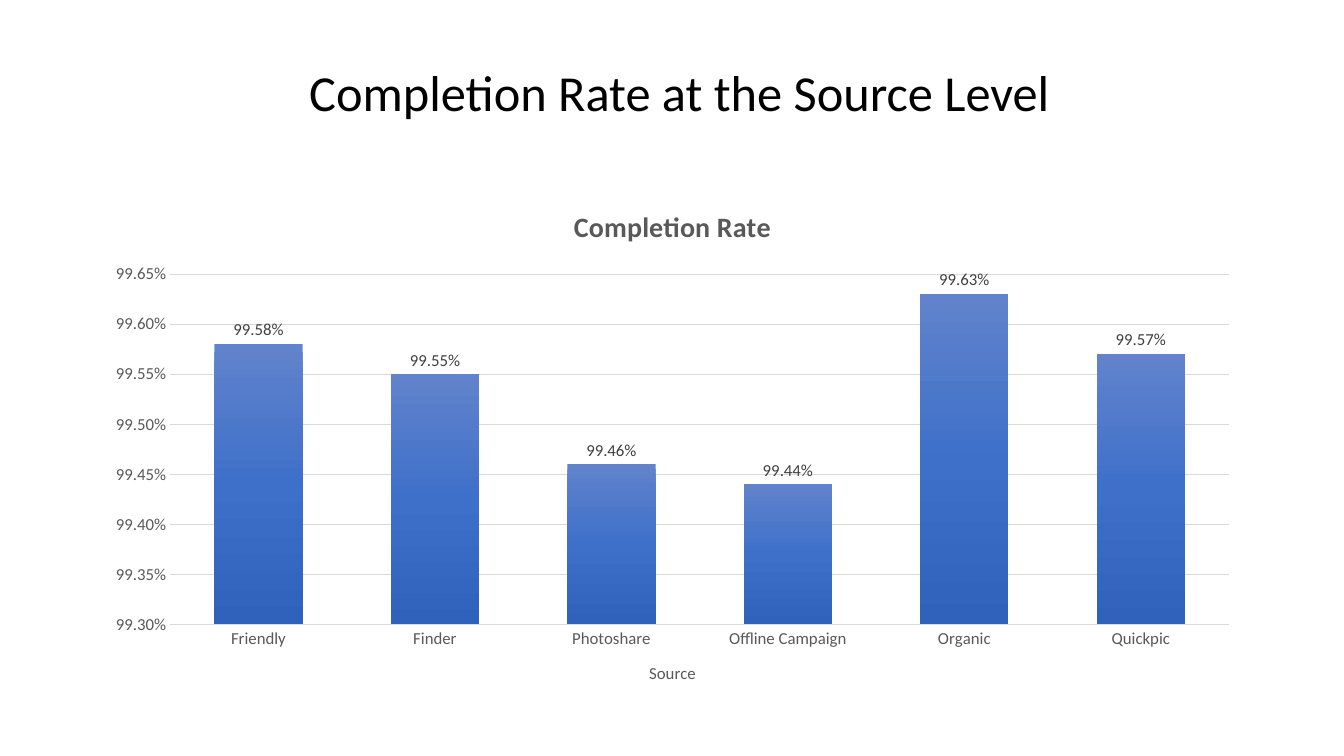
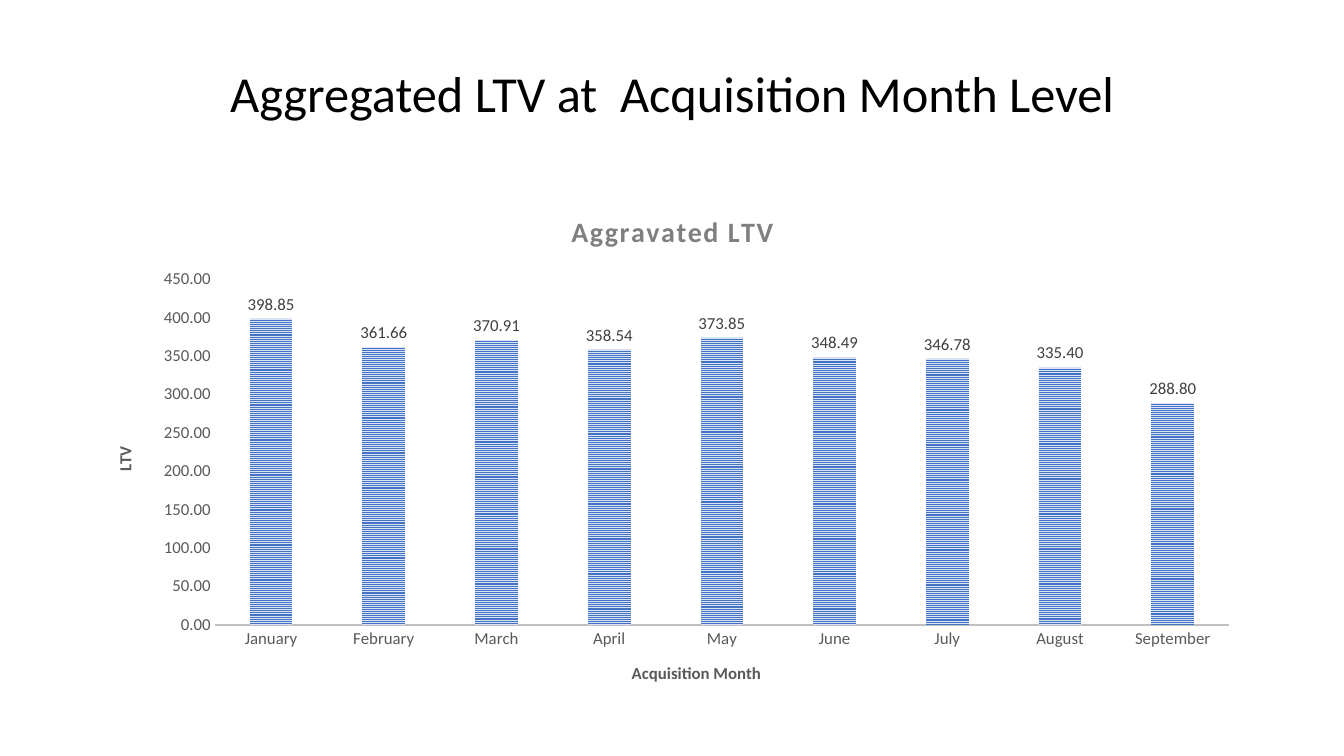
from copy import deepcopy

from pptx import Presentation
from pptx.chart.data import CategoryChartData
from pptx.dml.color import RGBColor
from pptx.enum.chart import XL_CHART_TYPE as ChartType
from pptx.enum.chart import XL_LABEL_POSITION as LabelPos
from pptx.enum.chart import XL_TICK_MARK as Tick
from pptx.enum.dml import MSO_PATTERN as Pattern
from pptx.enum.text import MSO_ANCHOR as Anchor
from pptx.enum.text import PP_ALIGN as Align
from pptx.oxml.ns import qn
from pptx.util import Inches, Pt

FONT = "Calibri"
BLACK, GREY, LABEL = "000000", "595959", "404040"
LEFT, WIDTH = 0.92, 11.5


def rgb(value):
    """Turn a hex string into a colour."""
    return RGBColor.from_string(value)


def set_font(font, size, color, bold=False):
    """Apply the shared typeface with a size, colour and weight."""
    font.name, font.size, font.bold = FONT, Pt(size), bold
    font.color.rgb = rgb(color)


def place_title(slide, text, box):
    """Put the slide title into its placeholder."""
    sp = slide.shapes.title
    sp.left, sp.top, sp.width, sp.height = map(Inches, box)
    tf = sp.text_frame
    tf.text = text
    tf.vertical_anchor = Anchor.MIDDLE
    p = tf.paragraphs[0]
    p.alignment, p.line_spacing = Align.CENTER, 0.9
    set_font(p.runs[0].font, 36, BLACK)


def set_heading(tf, text, size, color, bold, spacing=0):
    """Write a chart or axis heading and return its text frame."""
    tf.text = text
    r = tf.paragraphs[0].runs[0]
    set_font(r.font, size, color, bold)
    if spacing:
        r.font._element.set("spc", str(spacing))
    return tf


def style_axis(axis, title=None, bold=False):
    """Style the tick labels and the optional title of an axis."""
    axis.major_tick_mark = axis.minor_tick_mark = Tick.NONE
    set_font(axis.tick_labels.font, 12, GREY)
    axis.has_title = bool(title)
    if title:
        return set_heading(axis.axis_title.text_frame, title, 12, GREY, bold)


def fill_gradient(fill, series, stops):
    """Fill a series from top to bottom with three colour stops."""
    fill.gradient()
    fill.gradient_angle = 270
    stop_list = series._element.find(".//" + qn("a:gsLst"))
    stop_list.append(deepcopy(stop_list[-1]))
    for stop, (position, color) in zip(fill.gradient_stops, stops):
        stop.position = position
        stop.color.rgb = rgb(color)


def fill_stripes(fill, fore, back):
    """Fill a series with narrow horizontal stripes."""
    fill.patterned()
    fill.pattern = Pattern.NARROW_HORIZONTAL
    fill.fore_color.rgb = rgb(fore)
    fill.back_color.rgb = rgb(back)


def place_chart(slide, box, values, number_format, scale, gap, overlap, baseline):
    """Add a column chart with the shared axis and label styling."""
    data = CategoryChartData(number_format=number_format)
    data.categories = values.keys()
    data.add_series("Series 1", values.values())
    chart = slide.shapes.add_chart(
        ChartType.COLUMN_CLUSTERED, *map(Inches, box), data).chart
    set_font(chart.font, 10, BLACK)
    chart.has_legend = False

    axis = chart.value_axis
    axis.minimum_scale, axis.maximum_scale, axis.major_unit = scale
    axis.tick_labels.number_format = number_format
    axis.tick_labels.number_format_is_linked = False
    axis.format.line.fill.background()
    line = chart.category_axis.format.line
    line.color.rgb, line.width = rgb(baseline[0]), Pt(baseline[1])

    plot = chart.plots[0]
    plot.gap_width, plot.overlap, plot.vary_by_categories = gap, overlap, False
    plot.has_data_labels = True
    labels = plot.data_labels
    labels.show_value, labels.position = True, LabelPos.OUTSIDE_END
    labels.number_format, labels.number_format_is_linked = number_format, False
    set_font(labels.font, 12, LABEL)
    return chart


def source_slide(slide):
    """Build the completion rate slide."""
    place_title(slide, "Completion Rate at the Source Level", (0.99, 0.31, WIDTH, 1.27))
    rates = {"Friendly": 0.9958, "Finder": 0.9955, "Photoshare": 0.9946,
             "Offline Campaign": 0.9944, "Organic": 0.9963, "Quickpic": 0.9957}
    chart = place_chart(slide, (LEFT, 1.85, WIDTH, 5.15), rates, "0.00%",
                        (0.993, 0.9965, 0.0005), 100, -24, ("D9D9D9", 1))
    set_heading(chart.chart_title.text_frame, "Completion Rate", 20, GREY, True)
    style_axis(chart.category_axis, "Source")
    style_axis(chart.value_axis)
    grid = chart.value_axis.major_gridlines.format.line
    grid.color.rgb, grid.width = rgb("D9D9D9"), Pt(0.75)
    series = chart.plots[0].series[0]
    fill_gradient(series.format.fill, series,
                  [(0, "6183CB"), (0.5, "3E70CA"), (1, "3062BB")])


def month_slide(slide):
    """Build the lifetime value slide."""
    place_title(slide, "Aggregated LTV at  Acquisition Month Level", (LEFT, 0.4, WIDTH, 1.1))
    ltv = {"January": 398.85, "February": 361.66, "March": 370.91,
           "April": 358.54, "May": 373.85, "June": 348.49,
           "July": 346.78, "August": 335.4, "September": 288.8}
    chart = place_chart(slide, (LEFT, 1.9, WIDTH, 5.1), ltv, "0.00",
                        (0, 450, 50), 164, -22, ("BFBFBF", 1.5))
    set_heading(chart.chart_title.text_frame, "Aggravated LTV", 20, "7F7F7F", True, 100)
    style_axis(chart.category_axis, "Acquisition Month", True)
    tf = style_axis(chart.value_axis, "LTV", True)
    body = tf._txBody.find(qn("a:bodyPr"))
    body.set("rot", "-5400000")
    body.set("vert", "horz")
    chart.value_axis.has_major_gridlines = False
    fill_stripes(chart.plots[0].series[0].format.fill, "4472C4", "DAE3F3")


def main():
    """Create the presentation and save it."""
    prs = Presentation()
    prs.slide_width, prs.slide_height = Inches(13.33), Inches(7.5)
    for build in (source_slide, month_slide):
        build(prs.slides.add_slide(prs.slide_layouts[5]))
    prs.save("out.pptx")


if __name__ == "__main__":
    main()
